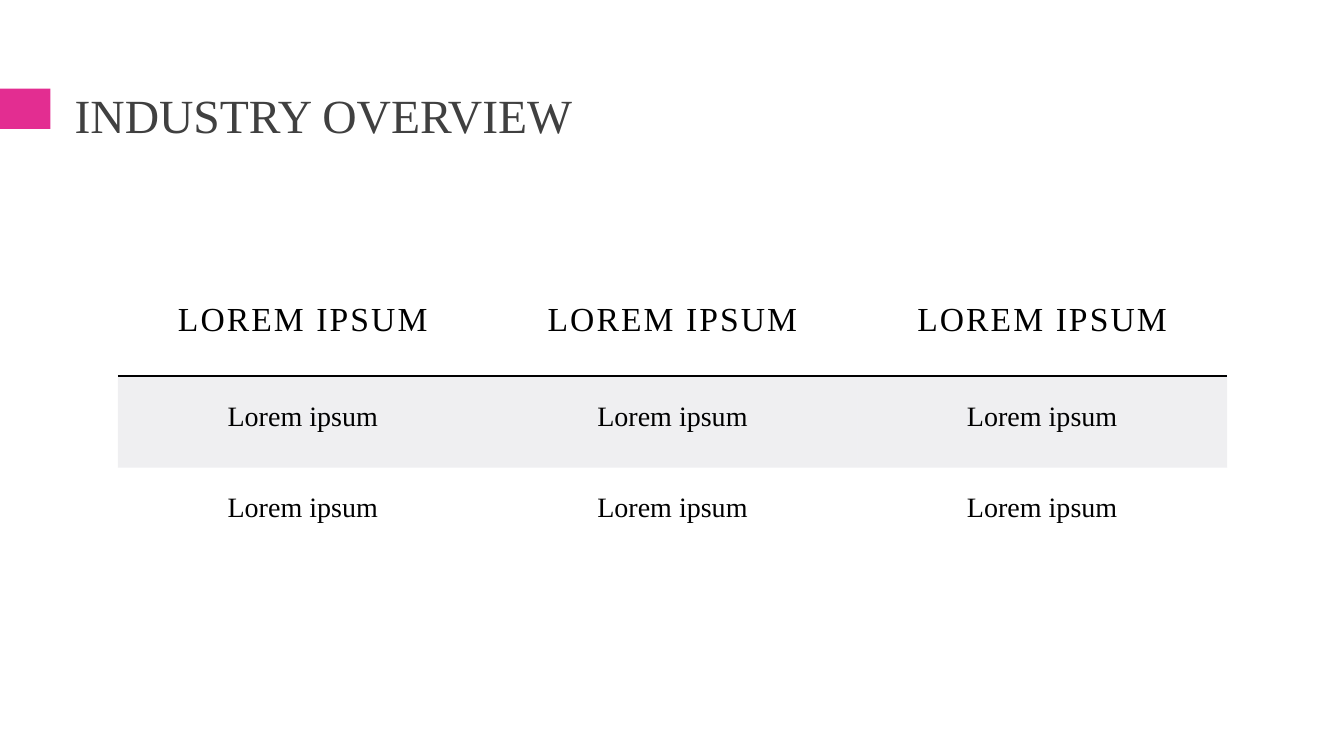
from lxml.etree import SubElement
from pptx import Presentation
from pptx.dml.color import RGBColor
from pptx.enum.shapes import MSO_SHAPE
from pptx.enum.text import MSO_ANCHOR, PP_ALIGN
from pptx.oxml import parse_xml
from pptx.oxml.ns import nsdecls, qn
from pptx.util import Inches, Pt

TITLE = "INDUSTRY OVERVIEW"
ROWS = [
    ["LOREM IPSUM"] * 3,
    ["Lorem ipsum"] * 3,
    ["Lorem ipsum"] * 3,
]
ROW_HEIGHTS = [0.99, 0.91, 0.91]
TABLE_LEFT, TABLE_TOP, TABLE_WIDTH = 1.17, 2.74, 11
CELL_MARGIN = Inches(0.25)
FONT = "Times New Roman"
NO_STYLE = "{2D5ABB26-0587-4C30-8999-92F81FD0307C}"

PINK = RGBColor(0xE3, 0x2D, 0x91)
DARK_GRAY = RGBColor(0x40, 0x40, 0x40)
BLACK = RGBColor(0, 0, 0)
BAND = RGBColor(0xB1, 0xB1, 0xBD)


def set_font(para, size, color):
    para.font.name = FONT
    para.font.size = Pt(size)
    para.font.bold = False
    para.font.color.rgb = color


def add_accent(page):
    accent = page.shapes.add_shape(
        MSO_SHAPE.RECTANGLE, 0, Inches(0.88), Inches(0.5), Inches(0.4))
    accent.shadow.inherit = False
    accent.fill.solid()
    accent.fill.fore_color.rgb = PINK
    accent.line.fill.background()


def fill_title(page):
    title = page.shapes.title
    title.left, title.top = Inches(0.64), Inches(0.77)
    title.width, title.height = Inches(12.06), Inches(0.81)
    title.text_frame.text = TITLE
    title.text_frame.vertical_anchor = MSO_ANCHOR.MIDDLE
    para = title.text_frame.paragraphs[0]
    para.alignment = PP_ALIGN.LEFT
    para.line_spacing = 0.9
    set_font(para, 34, DARK_GRAY)


def style_header(cell):
    cell.fill.background()
    border = parse_xml(
        f'<a:lnB {nsdecls("a")} w="{Pt(1)}"><a:solidFill>'
        f'<a:srgbClr val="{BLACK}"/></a:solidFill></a:lnB>')
    cell._tc.get_or_add_tcPr().insert(0, border)
    span = cell.text_frame.paragraphs[0].runs[0]
    span.font._element.set("spc", "150")


def style_band(cell):
    cell.fill.solid()
    cell.fill.fore_color.rgb = BAND
    color = cell._tc.tcPr.find(qn("a:solidFill")).find(qn("a:srgbClr"))
    SubElement(color, qn("a:alpha")).set("val", "20000")


def add_overview(page):
    columns = len(ROWS[0])
    frame = page.shapes.add_table(
        len(ROWS), columns, Inches(TABLE_LEFT), Inches(TABLE_TOP),
        Inches(TABLE_WIDTH), Inches(sum(ROW_HEIGHTS)))
    table = frame.table
    table._tbl.tblPr.find(qn("a:tableStyleId")).text = NO_STYLE
    for column in table.columns:
        column.width = Inches(TABLE_WIDTH / columns)
    for index, (texts, height) in enumerate(zip(ROWS, ROW_HEIGHTS)):
        table.rows[index].height = Inches(height)
        for cell, text in zip(table.rows[index].cells, texts):
            cell.text = text
            cell.margin_left = cell.margin_right = CELL_MARGIN
            cell.margin_top = cell.margin_bottom = CELL_MARGIN
            para = cell.text_frame.paragraphs[0]
            para.alignment = PP_ALIGN.CENTER
            set_font(para, 20 if index else 24, BLACK)
            if index == 0:
                style_header(cell)
            elif index % 2:
                style_band(cell)
            else:
                cell.fill.background()


def main():
    deck = Presentation()
    deck.slide_width, deck.slide_height = Inches(13.33), Inches(7.5)
    page = deck.slides.add_slide(deck.slide_layouts[5])
    add_accent(page)
    fill_title(page)
    add_overview(page)
    deck.save("out.pptx")


if __name__ == "__main__":
    main()
